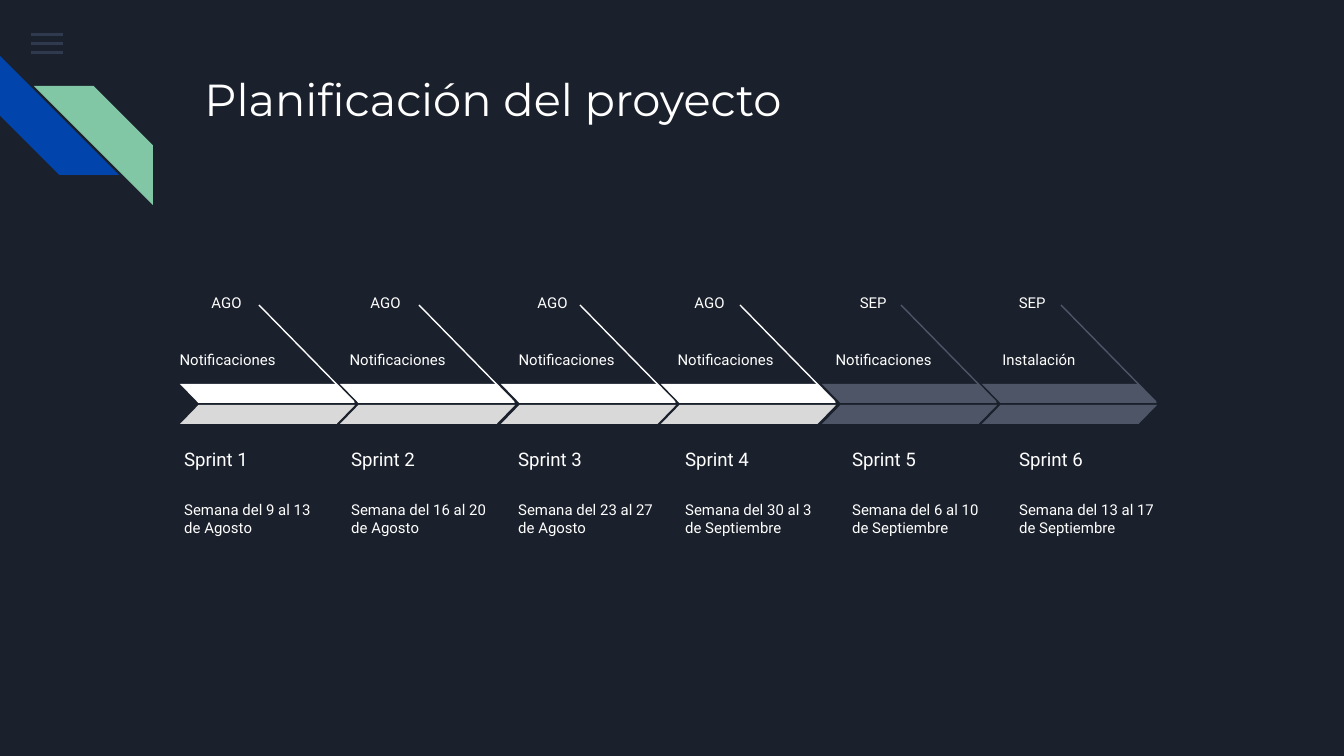
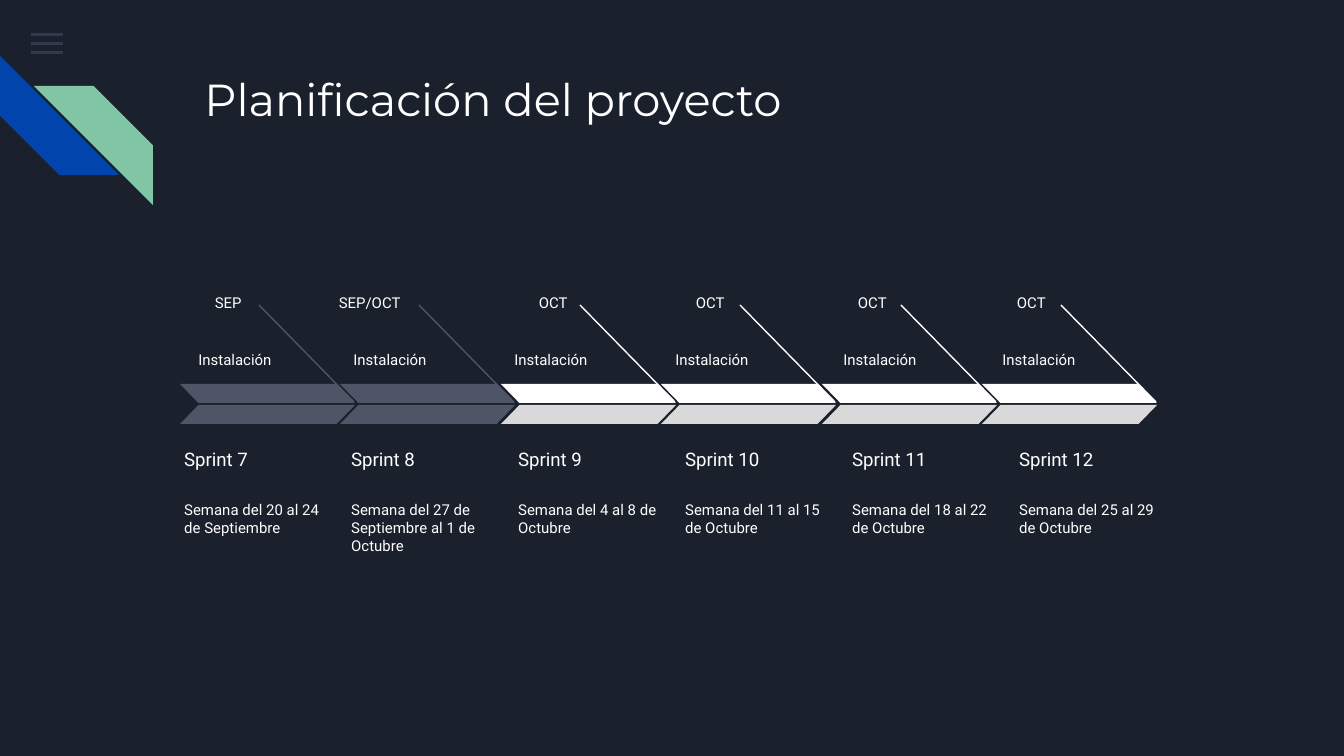
from dataclasses import dataclass

from lxml import etree
from pptx import Presentation
from pptx.dml.color import RGBColor
from pptx.enum.shapes import MSO_CONNECTOR, MSO_SHAPE
from pptx.enum.text import MSO_ANCHOR, MSO_AUTO_SIZE, PP_ALIGN
from pptx.oxml.ns import qn
from pptx.util import Emu, Inches, Pt

RECT, STRIPE = MSO_SHAPE.RECTANGLE, MSO_SHAPE.DIAGONAL_STRIPE
PARALLELOGRAM = MSO_SHAPE.PARALLELOGRAM
STRAIGHT = MSO_CONNECTOR.STRAIGHT
TOP, MIDDLE = MSO_ANCHOR.TOP, MSO_ANCHOR.MIDDLE
LEFT, RIGHT = PP_ALIGN.LEFT, PP_ALIGN.RIGHT


@dataclass(frozen=True)
class Theme:
    background: str = "1B212C"
    text: str = "FFFFFF"
    menu: str = "55688B"
    menu_alpha: int = 36
    blue: str = "0145AC"
    green: str = "82C7A5"
    light: tuple = ("FFFFFF", "D9D9D9")  # upper and lower half of an arrow
    dim: tuple = ("4E5567", "4E5567")
    title_font: str = "Montserrat"
    body_font: str = "Roboto"
    title_size: int = 24
    sprint_size: int = 10
    label_size: int = 8
    line_width: float = 0.75


THEME = Theme()
SLIDE_W, SLIDE_H = 1344, 756
TITLE = "Planificación del proyecto"
TITLE_BOX = (191, 58, 1035, 134)
MENU_BOX = (31, 33, 32, 3)
STRIPES_BOX = (0, 56, 119, 119)
TIMELINE_BOX = (165, 280, 1008, 305)

# Right edges of the months, relative to the timeline
MONTH_RIGHTS = (90, 249, 416, 573, 735, 894)
NOTIFY, INSTALL = "Notificaciones", "Instalación"
TASK_WIDTHS = {NOTIFY: 124, INSTALL: 109}

# Month, task, left of the task in the timeline, weeks, colours
SPRINTS = (
    ("AGO", NOTIFY, 0, "Semana del 9 al 13 de Agosto", THEME.light),
    ("AGO", NOTIFY, 170, "Semana del 16 al 20 de Agosto", THEME.light),
    ("AGO", NOTIFY, 339, "Semana del 23 al 27 de Agosto", THEME.light),
    ("AGO", NOTIFY, 498, "Semana del 30 al 3 de Septiembre", THEME.light),
    ("SEP", NOTIFY, 656, "Semana del 6 al 10 de Septiembre", THEME.dim),
    ("SEP", INSTALL, 815, "Semana del 13 al 17 de Septiembre", THEME.dim),
    ("SEP", INSTALL, 11, "Semana del 20 al 24 de Septiembre", THEME.dim),
    ("SEP/OCT", INSTALL, 166, "Semana del 27 de Septiembre al 1 de Octubre", THEME.dim),
    ("OCT", INSTALL, 327, "Semana del 4 al 8 de Octubre", THEME.light),
    ("OCT", INSTALL, 488, "Semana del 11 al 15 de Octubre", THEME.light),
    ("OCT", INSTALL, 656, "Semana del 18 al 22 de Octubre", THEME.light),
    ("OCT", INSTALL, 815, "Semana del 25 al 29 de Octubre", THEME.light),
)
PER_SLIDE = 6


def px(n):
    return Emu(round(n * 914400 / 134.4))


def rgb(color):
    return RGBColor.from_string(color)


def add_filled(shapes, kind, box, color, adj=None, flip=False):
    sp = shapes.add_shape(kind, *map(px, box))
    sp.shadow.inherit = False
    sp.fill.solid()
    sp.fill.fore_color.rgb = rgb(color)
    sp.line.fill.background()
    if adj is not None:
        sp.adjustments[0] = adj
    if flip:
        sp.element.spPr.xfrm.set("flipH", "1")
    return sp


def write(sp, text, font, size, align=LEFT, anchor=TOP):
    tf = sp.text_frame
    tf.text = text
    tf.word_wrap = True
    tf.auto_size = MSO_AUTO_SIZE.NONE
    tf.vertical_anchor = anchor
    tf.margin_left = tf.margin_right = Inches(0.1)
    tf.margin_top = tf.margin_bottom = Inches(0.1)
    p = tf.paragraphs[0]
    p.alignment = align
    f = p.runs[0].font
    f.name, f.size, f.color.rgb = font, Pt(size), rgb(THEME.text)
    return p


def add_label(s, box, text, size=THEME.label_size, **style):
    sp = s.shapes.add_textbox(*map(px, box))
    return write(sp, text, THEME.body_font, size, **style)


def add_menu(s, box):
    x, y, w, h = box
    for i in range(3):
        sp = add_filled(s.shapes, RECT, (x, y + 9 * i, w, h), THEME.menu)
        color = sp.element.spPr.find(qn("a:solidFill")).find(qn("a:srgbClr"))
        alpha = etree.SubElement(color, qn("a:alpha"))
        alpha.set("val", str(THEME.menu_alpha * 1000))


def add_stripes(s, box):
    x, y, w, h = box
    group = s.shapes.add_group_shape()
    blue = add_filled(group.shapes, STRIPE, box, THEME.blue, 0.5)
    blue.rotation = 270
    add_filled(group.shapes, STRIPE, (x + 34, y + 30, w, h), THEME.green, 0.5, flip=True)


def add_title(s, box):
    sp = s.shapes.title
    sp.left, sp.top, sp.width, sp.height = map(px, box)
    write(sp, TITLE, THEME.title_font, THEME.title_size)


def add_arrow(s, x, y, colors):
    """Draw a slanted line and the two halves of the arrow it leads to."""
    upper, lower = colors
    line = s.shapes.add_connector(
        STRAIGHT, px(x + 79), px(y - 79), px(x + 174), px(y + 18))
    line.line.color.rgb = rgb(upper)
    line.line.width = Pt(THEME.line_width)
    etree.SubElement(line.element.spPr, qn("a:effectLst"))
    add_filled(s.shapes, PARALLELOGRAM, (x, y, 175, 19), upper, 0.97, flip=True)
    add_filled(s.shapes, PARALLELOGRAM, (x, y + 21, 175, 19), lower, 0.97)


def add_timeline(s, box, sprints, first):
    x, y, _, _ = box
    for i, (month, task, task_left, weeks, colors) in enumerate(sprints):
        add_arrow(s, x + 15 + round(160.4 * i), y + 104, colors)
        month_w = 94 if "/" in month else 79
        add_label(s, (x + MONTH_RIGHTS[i] - month_w, y, month_w, 31), month, align=RIGHT)
        add_label(s, (x + task_left, y + 57, TASK_WIDTHS[task], 31), task, align=RIGHT)
        column = x + 6 + 167 * i
        add_label(s, (column, y + 150, 167, 59), f"Sprint {first + i}",
                  THEME.sprint_size, anchor=MIDDLE)
        p = add_label(s, (column, y + 207, 167, 98), weeks)
        p.space_after = Pt(16)


def add_plan_slide(prs, start):
    s = prs.slides.add_slide(prs.slide_layouts[5])
    add_menu(s, MENU_BOX)
    add_stripes(s, STRIPES_BOX)
    add_title(s, TITLE_BOX)
    add_timeline(s, TIMELINE_BOX, SPRINTS[start:start + PER_SLIDE], start + 1)


def main():
    prs = Presentation()
    prs.slide_width, prs.slide_height = px(SLIDE_W), px(SLIDE_H)
    fill = prs.slide_master.background.fill
    fill.solid()
    fill.fore_color.rgb = rgb(THEME.background)
    for start in range(0, len(SPRINTS), PER_SLIDE):
        add_plan_slide(prs, start)
    prs.save("out.pptx")


if __name__ == "__main__":
    main()
